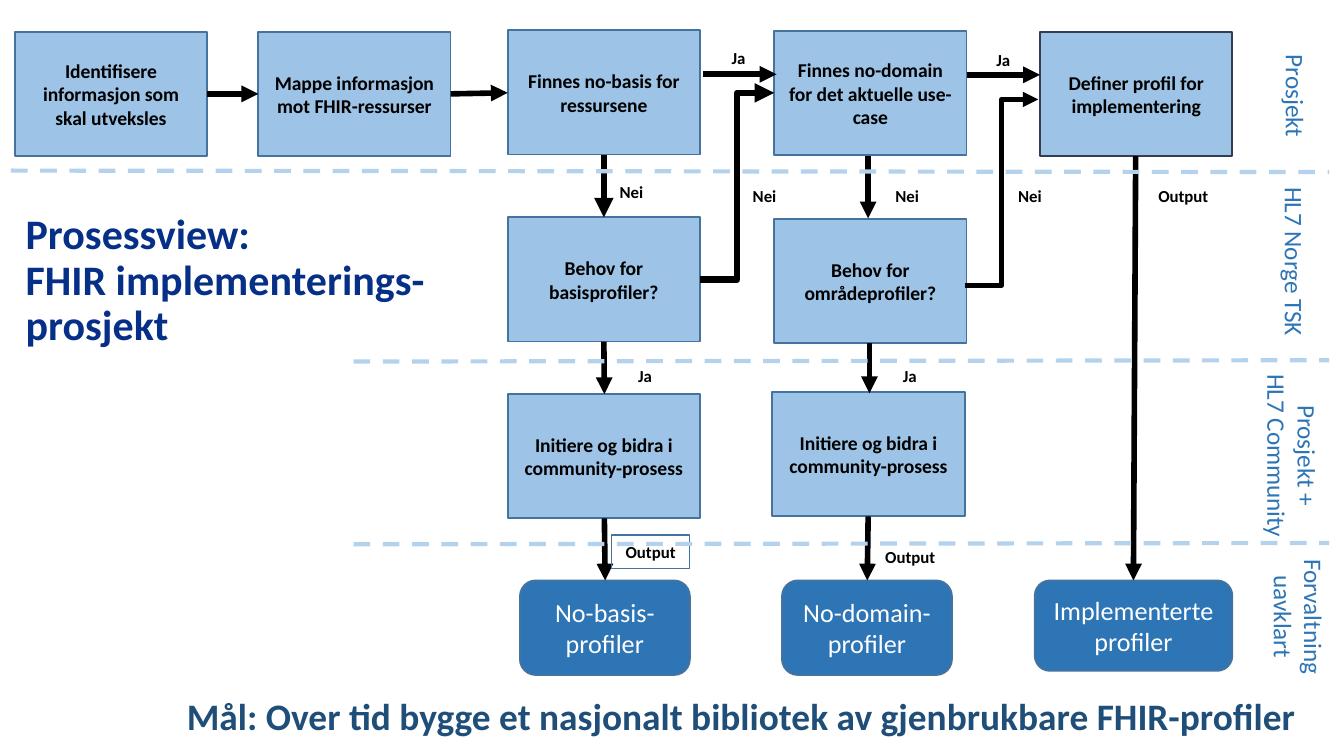
from lxml import etree
from pptx import Presentation
from pptx.dml.color import RGBColor
from pptx.enum.dml import MSO_LINE
from pptx.enum.shapes import MSO_CONNECTOR as CONNECTOR, MSO_SHAPE as SHAPE
from pptx.enum.text import MSO_ANCHOR as ANCHOR, MSO_AUTO_SIZE as AUTO_SIZE, PP_ALIGN as ALIGN
from pptx.oxml.ns import qn
from pptx.util import Pt

hex_color = RGBColor.from_string


def write_text(shape, text, size, color, bold=False, align=ALIGN.CENTER, anchor=ANCHOR.TOP):
    frame = shape.text_frame
    frame.word_wrap = True
    frame.auto_size = AUTO_SIZE.NONE
    frame.vertical_anchor = anchor
    paragraph = frame.paragraphs[0]
    paragraph.alignment = align
    for index, line in enumerate(text.split("\n")):
        if index:
            paragraph.add_line_break()
        run = paragraph.add_run()
        run.text = line
        run.font.name = "Calibri"
        run.font.size = Pt(size)
        run.font.bold = bold
        run.font.color.rgb = hex_color(color)
    return paragraph


def add_line(kind, x1, y1, x2, y2, color, width):
    connector = slide.shapes.add_connector(kind, Pt(x1), Pt(y1), Pt(x2), Pt(y2))
    connector.line.color.rgb = hex_color(color)
    connector.line.width = Pt(width)
    etree.SubElement(connector._element.spPr, qn("a:effectLst"))
    return connector


presentation = Presentation()
presentation.slide_width = Pt(720)
presentation.slide_height = Pt(405)
slide = presentation.slides.add_slide(presentation.slide_layouts[5])

title = slide.shapes.title
title.left, title.top, title.width, title.height = Pt(13.7), Pt(81.4), Pt(234.7), Pt(139)
paragraph = write_text(title, "Prosessview:\nFHIR implementerings-\nprosjekt", 22.5, "062F87", True,
                       ALIGN.LEFT, ANCHOR.MIDDLE)
paragraph.line_spacing = 0.9
frame = title.text_frame
frame.margin_left = frame.margin_top = frame.margin_right = frame.margin_bottom = 0

steps = [
    (8, 17, "Identifisere informasjon som skal utveksles", "43739E"),
    (138.4, 17.2, "Mappe informasjon mot FHIR-ressurser", "43739E"),
    (272, 16.3, "Finnes no-basis for ressursene", "43739E"),
    (414.8, 16.7, "Finnes no-domain for det aktuelle use-case", "43739E"),
    (557.2, 17.2, "Definer profil for implementering", "333F50"),
    (272, 116.5, "Behov for basisprofiler?", "43739E"),
    (414.8, 117.5, "Behov for områdeprofiler?", "43739E"),
    (272, 211.2, "Initiere og bidra i community-prosess", "43739E"),
    (413.8, 210.2, "Initiere og bidra i community-prosess", "43739E"),
]
for left, top, text, outline in steps:
    step = slide.shapes.add_shape(SHAPE.RECTANGLE, Pt(left), Pt(top), Pt(103), Pt(66.5))
    step.shadow.inherit = False
    step.fill.solid()
    step.fill.fore_color.rgb = hex_color("9DC3E6")
    step.line.color.rgb = hex_color(outline)
    step.line.width = Pt(1)
    write_text(step, text, 10.5, "000000", True, anchor=ANCHOR.MIDDLE)

outputs = [
    (278.6, 91, 50.6, "No-basis-profiler"),
    (419, 91, 50.6, "No-domain-profiler"),
    (554.4, 105.8, 48.4, "Implementerte profiler"),
]
for left, width, height, text in outputs:
    output = slide.shapes.add_shape(SHAPE.ROUNDED_RECTANGLE, Pt(left), Pt(311), Pt(width), Pt(height))
    output.shadow.inherit = False
    output.fill.solid()
    output.fill.fore_color.rgb = hex_color("2E75B6")
    output.line.color.rgb = hex_color("43739E")
    output.line.width = Pt(1)
    write_text(output, text, 14, "FFFFFF", anchor=ANCHOR.MIDDLE)

STRAIGHT, ELBOW = CONNECTOR.STRAIGHT, CONNECTOR.ELBOW
arrows = [
    (STRAIGHT, 111, 50.3, 138.4, 50.3, 3),
    (STRAIGHT, 241.4, 50.3, 272, 49.7, 3),
    (STRAIGHT, 376.8, 39.8, 416, 39.8, 3),
    (STRAIGHT, 517.8, 40.1, 557.2, 40.1, 3),
    (STRAIGHT, 323.5, 82.8, 323.5, 116.5, 3.5),
    (STRAIGHT, 323.5, 183, 323.8, 211.2, 3),
    (STRAIGHT, 323.8, 277.7, 324.2, 311, 3),
    (STRAIGHT, 465.1, 83.5, 465.1, 117, 3),
    (STRAIGHT, 465.8, 184, 465.8, 210.7, 3),
    (STRAIGHT, 465.1, 276.7, 464.6, 311, 3),
    (STRAIGHT, 608.4, 83.7, 607.2, 311, 3),
    (ELBOW, 375, 149.8, 414.8, 49.8, 3.5),
    (ELBOW, 516.8, 153, 556.2, 53.3, 2.75),
]
for kind, x1, y1, x2, y2, width in arrows:
    arrow = add_line(kind, x1, y1, x2, y2, "000000", width)
    etree.SubElement(arrow.line._get_or_add_ln(), qn("a:tailEnd"), type="triangle")

labels = [
    (380.9, 21.8, 29.5, "Ja"),
    (522.7, 23, 29.5, "Ja"),
    (323.5, 93.6, 29.5, "Nei"),
    (394.8, 96, 29.5, "Nei"),
    (471.2, 96, 29.5, "Nei"),
    (537, 96, 29.5, "Nei"),
    (613, 96, 41.8, "Output"),
    (330.8, 192.2, 29.5, "Ja"),
    (472.6, 192.2, 29.5, "Ja"),
    (466.7, 289.4, 41.8, "Output"),
]
for left, top, width, text in labels:
    label = slide.shapes.add_textbox(Pt(left), Pt(top), Pt(width), Pt(18))
    write_text(label, text, 9, "000000", True)

framed_label = slide.shapes.add_shape(SHAPE.RECTANGLE, Pt(327.6), Pt(286.6), Pt(41.8), Pt(18))
framed_label.shadow.inherit = False
framed_label.fill.background()
framed_label.line.color.rgb = hex_color("43739E")
framed_label.line.width = Pt(0.75)
write_text(framed_label, "Output", 9, "000000", True)

for x1, y1, y2 in [(5.8, 91.4, 92.2), (189.4, 193.7, 193), (189.4, 291.6, 290.9)]:
    divider = add_line(STRAIGHT, x1, y1, 712, y2, "B5D2EC", 2.25)
    divider.line.dash_style = MSO_LINE.DASH

lanes = [
    (640, 39.6, 23.8, "Prosjekt"),
    (639.4, 128.2, 23.8, "HL7 Norge TSK"),
    (638, 224, 40.3, "Prosjekt +\nHL7 Community"),
    (641.5, 310.3, 40.3, "Forvaltning uavklart"),
]
for left, top, height, text in lanes:
    lane = slide.shapes.add_textbox(Pt(left), Pt(top), Pt(108), Pt(height))
    lane.rotation = 90
    write_text(lane, text, 13.5, "2E75B6")

goal = slide.shapes.add_textbox(Pt(93), Pt(368), Pt(627), Pt(31.7))
write_text(goal, "Mål: Over tid bygge et nasjonalt bibliotek av gjenbrukbare FHIR-profiler", 20, "1F4E79", True,
           ALIGN.LEFT)

presentation.save("out.pptx")
